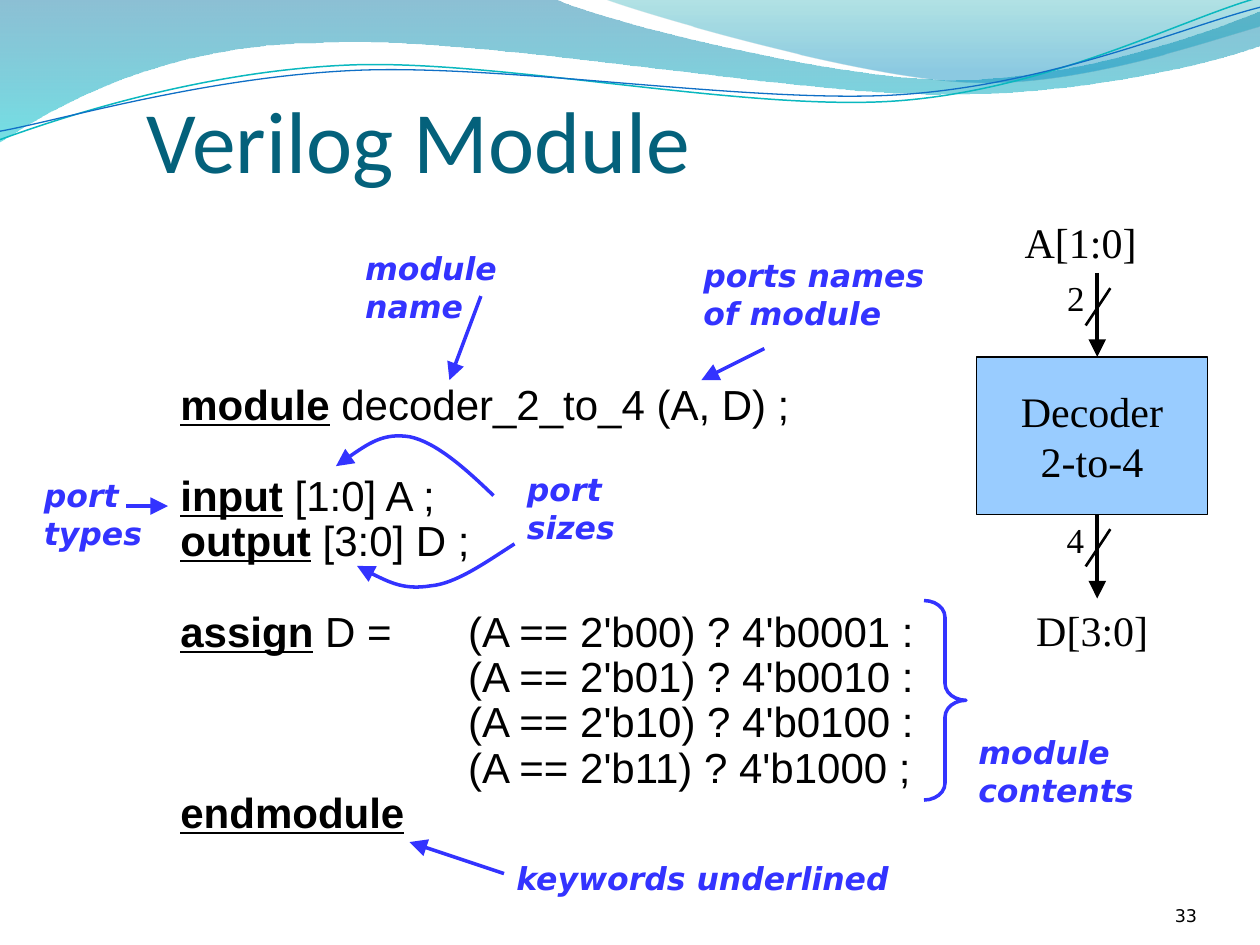
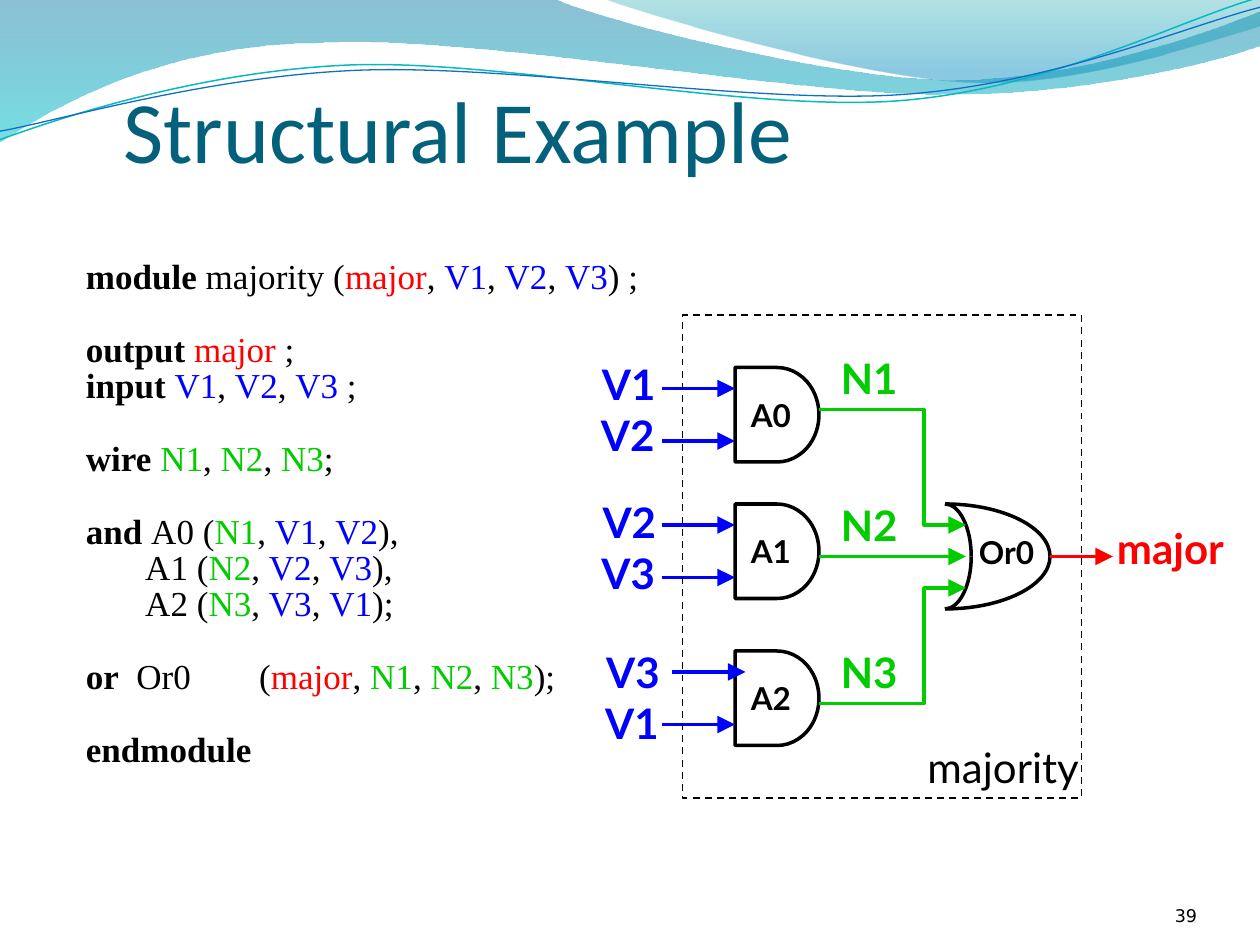
from dataclasses import dataclass, field
from itertools import groupby
from typing import NamedTuple

from lxml.etree import SubElement
from pptx import Presentation
from pptx.dml.color import RGBColor
from pptx.enum.dml import MSO_LINE
from pptx.enum.shapes import MSO_CONNECTOR, MSO_SHAPE
from pptx.enum.text import MSO_ANCHOR, PP_ALIGN
from pptx.oxml.ns import qn
from pptx.util import Inches, Pt

CELL = Inches(10) // 120  # the slide is a grid of 120 columns by 90 rows
Point = tuple[float, float]
Box = tuple[float, float, float, float]  # left, top, width, height in cells

class TextStyle(NamedTuple):
    font: str
    size: float
    color: str = "000000"
    bold: bool = False
    italic: bool = False
    underline: bool = False

@dataclass(frozen=True)
class Theme:
    black: str = "000000"
    note_blue: str = "3333FF"
    block_fill: str = "99CCFF"
    input_blue: str = "0000FF"
    net_green: str = "00CC00"
    output_red: str = "FF0000"
    title: TextStyle = TextStyle("Calibri", 50, "04617B")
    number: TextStyle = TextStyle("DejaVu Sans", 10)
    note: TextStyle = TextStyle("DejaVu Sans", 18, note_blue, True, True)
    block: TextStyle = TextStyle("Times New Roman", 24)
    bus_width: TextStyle = TextStyle("Times New Roman", 20)
    sans_code: TextStyle = TextStyle("Arial", 24)
    sans_keyword: TextStyle = TextStyle("Arial", 24, bold=True, underline=True)
    serif_code: TextStyle = TextStyle("Times New Roman", 20)
    serif_keyword: TextStyle = TextStyle("Times New Roman", 20, bold=True)
    gate: TextStyle = TextStyle("Lato", 18, bold=True)
    input: TextStyle = TextStyle("Lato", 24, input_blue, True)
    net: TextStyle = TextStyle("Lato", 24, net_green, True)
    output: TextStyle = TextStyle("Lato", 24, output_red, True)
    frame: TextStyle = TextStyle("Lato", 24)

THEME = Theme()

class Curve(NamedTuple):
    """A start point, then segments of one point (line) or three (Bezier)."""
    start: Point
    segments: tuple[tuple[Point, ...], ...]
    closed: bool = False

class GradientStop(NamedTuple):
    position: float
    color: str
    opacity: int

class Label(NamedTuple):
    text: str
    left: float
    top: float
    width: float
    style: TextStyle

class Link(NamedTuple):
    start: Point
    end: Point
    color: str = THEME.black
    width: float = 2
    arrow: bool = True

class CodeLine(NamedTuple):
    keyword: str
    rest: str = ""
    gap: bool = False
    indent: float = 0

@dataclass(frozen=True)
class CodeStyle:
    code: TextStyle
    keyword: TextStyle
    pitch: float
    tabs: tuple[float, ...]
    colors: dict[str, str] = field(default_factory=dict)

class Gate(NamedTuple):
    name: str
    top: float
    inputs: tuple[str, str]
    label_left: float
    label_top: float
    first_wire_left: float = 63

WAVES = [
    (Curve((0, -0.1), (((52.8, -0.1),), ((57.1, 2), (79.7, 7.6), (91, 7.6)),
                       ((102.4, 7.6), (115, 3.1), (120, 1.1)), ((120.1, 4.3),),
                       ((118, 5.3), (104.4, 9.1), (89.5, 9)),
                       ((74.6, 9), (45.8, 3.4), (30.8, 4.1)),
                       ((15.5, 4.2), (5.5, 10), (-0.1, 13.6))), True),
     (GradientStop(0, "0074A1", 45), GradientStop(1, "00C6CF", 55))),
    (Curve((57.5, -0.1), (((61.1, 1.3), (81.8, 7.4), (92.3, 7.8)),
                          ((102.7, 8.3), (115.3, 3.8), (120, 2.5)), ((120, 0),)), True),
     (GradientStop(0, "00A1A9", 30), GradientStop(0.8, "008BBF", 45))),
]
WAVE_LINES = [
    (Curve((0, 13.3), (((5.8, 11.2), (19, 6.8), (33.2, 6.2)),
                       ((47.4, 5.6), (71.2, 10.7), (85.6, 9.6)),
                       ((100, 8.5), (112.6, 1.8), (119.8, -0.2)))), "0AB8BF", 0.85),
    (Curve((0, 12.5), (((5.6, 11.5), (19.7, 7.3), (34, 6.7)),
                       ((48.4, 6.1), (72.4, 10), (86, 9)),
                       ((100.3, 8), (112.9, 2.5), (120, 0.7)))), "0F6FC6", 0.75),
]

def cells(*values: float) -> list[int]:
    return [round(value * CELL) for value in values]

def add_run(paragraph, text: str, style: TextStyle, color: str | None = None) -> None:
    run = paragraph.add_run()
    run.text = text
    font = run.font
    font.name, font.size = style.font, Pt(style.size)
    font.bold, font.italic, font.underline = style.bold, style.italic, style.underline
    font.color.rgb = RGBColor.from_string(color or style.color)

def add_frame(slide, box: Box):
    frame = slide.shapes.add_textbox(*cells(*box)).text_frame
    frame.word_wrap = True
    return frame

def add_labels(slide, labels: list[Label]) -> None:
    for label in labels:
        frame = add_frame(slide, (label.left, label.top, label.width, 6))
        add_run(frame.paragraphs[0], label.text, label.style)

def style_line(shape, color: str, width: float, arrow: bool = False) -> None:
    shape.line.color.rgb = RGBColor.from_string(color)
    shape.line.width = Pt(width)
    if arrow:
        SubElement(shape.line._get_or_add_ln(), qn("a:tailEnd"),
                   type="triangle", w="lg", len="lg")

def add_links(slide, links: list[Link]) -> None:
    for link in links:
        connector = slide.shapes.add_connector(
            MSO_CONNECTOR.STRAIGHT, *cells(*link.start, *link.end))
        style_line(connector, link.color, link.width, link.arrow)
        SubElement(connector._element.spPr, qn("a:effectLst"))

def add_curve(slide, curve: Curve):
    """Build the outline through all points, then turn each three into a Bezier."""
    builder = slide.shapes.build_freeform(*cells(*curve.start))
    points = [cells(*point) for segment in curve.segments for point in segment]
    builder.add_line_segments(points, close=curve.closed)
    shape = builder.convert_to_shape()
    shape.shadow.inherit = False
    shape.fill.background()
    lines = iter(list(shape._element.iter(qn("a:lnTo"))))
    for segment in curve.segments:
        first, *others = [next(lines) for _ in segment]
        if others:
            first.tag = qn("a:cubicBezTo")
        for line in others:
            first.append(line[0])
            line.getparent().remove(line)
    return shape

def fill_gradient(shape, stops: tuple[GradientStop, GradientStop]) -> None:
    shape.fill.gradient()
    shape.fill.gradient_angle = 270
    for target, stop in zip(shape.fill.gradient_stops, stops):
        target.position = stop.position
        target.color.rgb = RGBColor.from_string(stop.color)
    for element, stop in zip(shape._element.spPr.iter(qn("a:srgbClr")), stops):
        SubElement(element, qn("a:alpha"), val=str(stop.opacity * 1000))

def add_block(slide, kind: MSO_SHAPE, box: Box, color: str, width: float,
              lines: tuple[str, ...] = (), style: TextStyle = THEME.block):
    shape = slide.shapes.add_shape(kind, *cells(*box))
    shape.shadow.inherit = False
    shape.fill.background()
    style_line(shape, color, width)
    frame = shape.text_frame
    frame.word_wrap = False
    frame.vertical_anchor = MSO_ANCHOR.MIDDLE
    for index, line in enumerate(lines):
        paragraph = frame.add_paragraph() if index else frame.paragraphs[0]
        paragraph.alignment = PP_ALIGN.CENTER
        add_run(paragraph, line, style)
    return shape

def add_code(slide, box: Box, lines: list[CodeLine], style: CodeStyle) -> None:
    """Set keywords apart and colour each word that has a colour in the style."""
    frame = add_frame(slide, box)
    for index, line in enumerate(lines):
        paragraph = frame.add_paragraph() if index else frame.paragraphs[0]
        paragraph.line_spacing = Pt(style.pitch)
        paragraph.space_before = Pt(style.pitch if line.gap else 0)
        properties = paragraph._p.get_or_add_pPr()
        if line.indent:
            properties.set("marL", str(cells(line.indent)[0]))
        if "\t" in line.rest:
            tab_list = SubElement(properties, qn("a:tabLst"))
            for position in cells(*style.tabs):
                SubElement(tab_list, qn("a:tab"), pos=str(position), algn="l")
        if line.keyword:
            add_run(paragraph, line.keyword, style.keyword)
        words = ["".join(group) for _, group in groupby(line.rest, str.isalnum)]
        for color, group in groupby(words, lambda word: style.colors.get(word, THEME.black)):
            add_run(paragraph, "".join(group), style.code, color)

def add_base(presentation, title: str, left: float, top: float, number: int):
    slide = presentation.slides.add_slide(presentation.slide_layouts[6])
    for wave, stops in WAVES:
        shape = add_curve(slide, wave)
        shape.line.fill.background()
        fill_gradient(shape, stops)
    for wave, color, width in WAVE_LINES:
        style_line(add_curve(slide, wave), color, width)
    for text, box, style, alignment in (
            (title, (left, top, 78, 15), THEME.title, PP_ALIGN.LEFT),
            (str(number), (104, 83.4, 10, 4.8), THEME.number, PP_ALIGN.RIGHT)):
        frame = add_frame(slide, box)
        frame.vertical_anchor = MSO_ANCHOR.BOTTOM
        frame.margin_left = frame.margin_right = frame.margin_bottom = 0
        frame.paragraphs[0].alignment = alignment
        add_run(frame.paragraphs[0], text, style)
    return slide

def build_module_slide(presentation) -> None:
    slide = add_base(presentation, "Verilog Module", 14, 3.2, 33)
    add_code(slide, (16, 35.93, 99, 44.3), [
        CodeLine("module", " decoder_2_to_4 (A, D) ;"),
        CodeLine("input", " [1:0] A ;", gap=True),
        CodeLine("output", " [3:0] D ;"),
        CodeLine("assign", " D =\t(A == 2'b00) ? 4'b0001 :", gap=True),
        CodeLine("", "(A == 2'b01) ? 4'b0010 :", indent=27.4),
        CodeLine("", "(A == 2'b10) ? 4'b0100 :", indent=27.4),
        CodeLine("", "(A == 2'b11) ? 4'b1000 ;", indent=27.4),
        CodeLine("endmodule"),
    ], CodeStyle(THEME.sans_code, THEME.sans_keyword, 25.9, (27.4,)))
    decoder = add_block(slide, MSO_SHAPE.RECTANGLE, (93, 34, 22, 15), THEME.black, 0.75,
                        ("Decoder", "2-to-4"))
    decoder.fill.solid()
    decoder.fill.fore_color.rgb = RGBColor.from_string(THEME.block_fill)
    brace = add_block(slide, MSO_SHAPE.RIGHT_BRACE, (88, 57.2, 4, 19), THEME.note_blue, 2)
    brace.adjustments[0] = 0.4
    add_labels(slide, [
        Label("A[1:0]", 96.4, 20, 15, THEME.block),
        Label("D[3:0]", 97.5, 57, 15, THEME.block),
        Label("2", 100.45, 25.75, 5, THEME.bus_width),
        Label("4", 100.4, 48.8, 5, THEME.bus_width),
        Label("ports names of module", 65.8, 23.8, 25.2, THEME.note),
        Label("module name", 33.6, 23.15, 18, THEME.note),
        Label("port types", 3, 44.75, 14, THEME.note),
        Label("port sizes", 49, 44.2, 14, THEME.note),
        Label("module contents", 92, 69.2, 18, THEME.note),
        Label("keywords underlined", 48, 81.2, 40, THEME.note),
    ])
    add_links(slide, [Link((104.5, top), (104.5, top + 8)) for top in (26, 49)])
    add_links(slide, [Link((105.75, top), (103.4, top + 3.55), width=1.5, arrow=False)
                      for top in (27.45, 50.4)])
    pointers = [((72.8, 33.2), (66.8, 36.2)), ((45.8, 28.2), (42.8, 36.2)),
                ((12, 48.2), (16, 48.2)), ((48, 83.2), (39, 80.2))]
    add_links(slide, [Link(start, end, THEME.note_blue) for start, end in pointers])
    for curve in (Curve((47, 47.2), (((44.3, 44.6), (41.5, 42.1), (39, 41.6)),
                                     ((36.5, 41.2), (34.2, 42.8), (32, 44.4)))),
                  Curve((49, 51.8), (((46.2, 53.6), (43.4, 55.6), (41, 55.8)),
                                     ((38.5, 56.2), (36.2, 55.1), (34, 53.9))))):
        style_line(add_curve(slide, curve), THEME.note_blue, 2, arrow=True)

def add_and_gate(slide, gate: Gate) -> None:
    add_block(slide, MSO_SHAPE.FLOWCHART_DELAY, (70, gate.top, 8, 9), THEME.black, 2,
              (gate.name,), THEME.gate)
    for index, name in enumerate(gate.inputs):
        row = gate.top + 2 + 5 * index
        left = 63 if index else gate.first_wire_left
        add_links(slide, [Link((left, row), (left + 7, row), THEME.input_blue)])
        add_labels(slide, [Label(name, gate.label_left - 0.1 * index,
                                 gate.label_top + 4.85 * index, 8, THEME.input)])

def build_structural_slide(presentation) -> None:
    slide = add_base(presentation, "Structural Example", 11.75, 2.25, 39)
    colors = {"major": THEME.output_red}
    for index in "123":
        colors |= {f"V{index}": THEME.input_blue, f"N{index}": THEME.net_green}
    add_code(slide, (7, 24.2, 94, 54.7), [
        CodeLine("module", " majority (major, V1, V2, V3) ;"),
        CodeLine("output ", "major ;", gap=True),
        CodeLine("input ", "V1, V2, V3 ;"),
        CodeLine("wire ", "N1, N2, N3;", gap=True),
        CodeLine("and ", "A0 (N1, V1, V2),", gap=True),
        CodeLine("", "A1 (N2, V2, V3),", indent=5.65),
        CodeLine("", "A2 (N3, V3, V1);", indent=5.65),
        CodeLine("or", "\tOr0\t(major, N1, N2, N3);", gap=True),
        CodeLine("endmodule", gap=True),
    ], CodeStyle(THEME.serif_code, THEME.serif_keyword, 20.78, (4.8, 16.5), colors))
    for gate in (Gate("A0", 35, ("V1", "V2"), 56.15, 33.6),
                 Gate("A1", 48, ("V2", "V3"), 56.2, 46.7),
                 Gate("A2", 62, ("V3", "V1"), 56.55, 61, first_wire_left=64)):
        add_and_gate(slide, gate)
    for bulge in (10, 2.5):
        for side in (-1, 1):
            arc = Curve((90 + bulge, 53), (((90 + bulge, 53 + 2.75 * side),
                                            (90 + 0.55 * bulge, 53 + 5 * side),
                                            (90, 53 + 5 * side)),))
            style_line(add_curve(slide, arc), THEME.black, 2)
    for output_row, input_row in ((39, 50), (67, 56)):
        net = Curve((78, output_row), (((88, output_row),), ((88, input_row),),
                                       ((92, input_row),)))
        style_line(add_curve(slide, net), THEME.net_green, 2, arrow=True)
    add_links(slide, [Link((78, 53), (92, 53), THEME.net_green),
                      Link((100, 53), (106, 53), THEME.output_red)])
    frame = add_block(slide, MSO_SHAPE.RECTANGLE, (65, 30, 38, 46), THEME.black, 1)
    frame.line.dash_style = MSO_LINE.DASH
    add_labels(slide, [Label(f"N{index + 1}", 78.9, 33 + 14 * index, 9, THEME.net)
                       for index in range(3)])
    add_labels(slide, [Label("major", 105.2, 49.2, 14.5, THEME.output),
                       Label("Or0", 92.05, 50.2, 9, THEME.gate),
                       Label("majority", 87.15, 70, 18, THEME.frame)])

def main() -> None:
    presentation = Presentation()
    presentation.slide_width, presentation.slide_height = cells(120, 90)
    build_module_slide(presentation)
    build_structural_slide(presentation)
    presentation.save("out.pptx")

if __name__ == "__main__":
    main()
